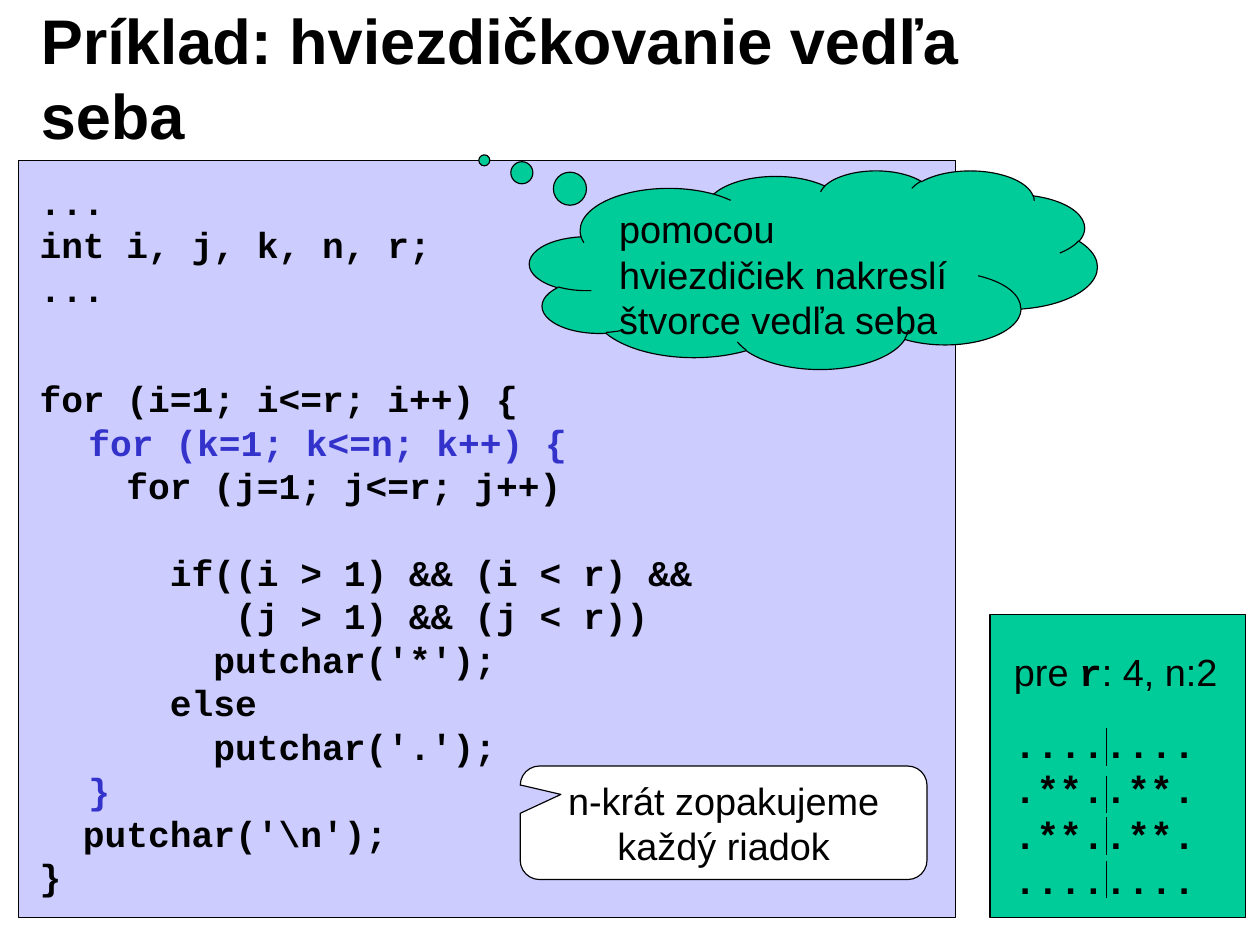
from dataclasses import dataclass

from lxml import etree
from pptx import Presentation
from pptx.dml.color import RGBColor
from pptx.enum.shapes import MSO_CONNECTOR, MSO_SHAPE
from pptx.enum.text import MSO_ANCHOR, MSO_AUTO_SIZE, PP_ALIGN
from pptx.oxml.ns import qn
from pptx.util import Pt

RECTANGLE = MSO_SHAPE.RECTANGLE
CLOUD = MSO_SHAPE.CLOUD_CALLOUT
BUBBLE = MSO_SHAPE.ROUNDED_RECTANGULAR_CALLOUT
STRAIGHT = MSO_CONNECTOR.STRAIGHT
TOP, MIDDLE = MSO_ANCHOR.TOP, MSO_ANCHOR.MIDDLE
LEFT, CENTER = PP_ALIGN.LEFT, PP_ALIGN.CENTER
NO_AUTOFIT = MSO_AUTO_SIZE.NONE
TITLE_ONLY = 5


@dataclass(frozen=True)
class Theme:
    sans: str = "Arial"
    mono: str = "Courier New"
    ink: str = "000000"
    accent: str = "3333CC"
    panel: str = "CCCCFF"
    green: str = "00CC99"
    white: str = "FFFFFF"
    title_size: float = 40
    code_size: float = 23
    note_size: float = 24
    outline: float = 0.75
    leading: float = 1.2


THEME = Theme()
CODE_LINE = THEME.code_size * THEME.leading

PROGRAM = [
    ("...", 0),
    ("int i, j, k, n, r;", 0),
    ("...", 0),
    ("for (i=1; i<=r; i++) {", CODE_LINE + 12 * THEME.leading),
    ("    for (j=1; j<=r; j++)", CODE_LINE),
    ("      if((i > 1) && (i < r) &&", CODE_LINE),
    ("         (j > 1) && (j < r))", 0),
    ("        putchar('*');", 0),
    ("      else", 0),
    ("        putchar('.');", 0),
    ("  putchar('\\n');", CODE_LINE),
    ("}", 0),
]
INNER_LOOP = [("for (k=1; k<=n; k++) {", 0), ("}", 7 * CODE_LINE)]
STARS = [("........", 14 * THEME.leading), (".**..**.", 0),
         (".**..**.", 0), ("........", 0)]
DIVIDER_X, DIVIDER_LENGTH = 702, 24
DIVIDER_TOPS = (462, 492, 518.4, 546)


def style(paragraph, face, size, color=THEME.ink, bold=False, before=0, align=LEFT):
    """Format a whole paragraph."""
    paragraph.alignment = align
    paragraph.line_spacing = Pt(size * THEME.leading)
    paragraph.space_before = Pt(before)
    font = paragraph.font
    font.name, font.size, font.bold = face, Pt(size), bold
    font.color.rgb = RGBColor.from_string(color)


def set_frame(frame, anchor=TOP):
    """Give a text frame wrapping, fixed size and an anchor."""
    frame.word_wrap = True
    frame.auto_size = NO_AUTOFIT
    frame.vertical_anchor = anchor


def add_title(slide, text):
    """Fill and place the title placeholder."""
    title = slide.shapes.title
    title.left, title.top, title.width, title.height = map(Pt, (18, 12, 642, 73.5))
    title.text_frame.text = text
    set_frame(title.text_frame, MIDDLE)
    title.text_frame.margin_left = title.text_frame.margin_right = Pt(7.9)
    style(title.text_frame.paragraphs[0], THEME.sans, THEME.title_size, bold=True)


def add_panel(slide, kind, box, fill, text="", align=LEFT, adjustments=()):
    """Draw an outlined preset shape, with a note where there is text."""
    panel = slide.shapes.add_shape(kind, *map(Pt, box))
    panel.shadow.inherit = False
    panel.fill.solid()
    panel.fill.fore_color.rgb = RGBColor.from_string(fill)
    panel.line.color.rgb = RGBColor.from_string(THEME.ink)
    panel.line.width = Pt(THEME.outline)
    for index, value in enumerate(adjustments):
        panel.adjustments[index] = value
    if text:
        panel.text_frame.text = text
        set_frame(panel.text_frame)
        style(panel.text_frame.paragraphs[0], THEME.sans, THEME.note_size, align=align)


def add_text_frame(slide, box):
    """Add an empty text box and return its frame."""
    frame = slide.shapes.add_textbox(*map(Pt, box)).text_frame
    set_frame(frame)
    return frame


def add_code(frame, lines, size, color=THEME.ink):
    """Append lines of code, each with its space before."""
    for text, before in lines:
        first = frame.paragraphs[0]
        paragraph = frame.add_paragraph() if first.runs else first
        paragraph.add_run().text = text
        style(paragraph, THEME.mono, size, color, True, before)


def add_sample(slide):
    """Write the sample output under its parameter line."""
    frame = add_text_frame(slide, (636, 408, 154, 168.5))
    heading = frame.paragraphs[0]
    for text in ("pre ", "r", ": 4, n:2"):
        heading.add_run().text = text
    style(heading, THEME.sans, THEME.note_size)
    variable = heading.runs[1].font
    variable.name, variable.bold = THEME.mono, True
    add_code(frame, STARS, THEME.note_size)


def add_divider(slide, top):
    """Draw one vertical stroke between the two squares."""
    x = Pt(DIVIDER_X)
    divider = slide.shapes.add_connector(STRAIGHT, x, Pt(top), x, Pt(top + DIVIDER_LENGTH))
    divider.line.color.rgb = RGBColor.from_string(THEME.ink)
    divider.line.width = Pt(THEME.outline)
    etree.SubElement(divider._element.spPr, qn("a:effectLst"))


def main():
    """Build the slide and save it."""
    deck = Presentation()
    deck.slide_width, deck.slide_height = Pt(799.2), Pt(597.6)
    slide = deck.slides.add_slide(deck.slide_layouts[TITLE_ONLY])

    add_title(slide, "Príklad: hviezdičkovanie vedľa seba")
    add_panel(slide, RECTANGLE, (12, 102, 594, 480), THEME.panel)
    add_code(add_text_frame(slide, (18, 110, 441, 463)), PROGRAM, THEME.code_size)
    add_panel(slide, CLOUD, (336, 108, 360, 126), THEME.green,
              "pomocou hviezdičiek nakreslí štvorce vedľa seba",
              adjustments=(-0.58, -0.55))
    add_panel(slide, RECTANGLE, (628, 390, 162, 192), THEME.green)
    add_sample(slide)
    add_panel(slide, BUBBLE, (330, 486, 258, 72), THEME.white,
              "n-krát zopakujeme každý riadok", CENTER, (-0.4, -0.25, 0.17))
    add_code(add_text_frame(slide, (49, 263, 332, 255.6)), INNER_LOOP,
             THEME.code_size, THEME.accent)
    for top in DIVIDER_TOPS:
        add_divider(slide, top)

    deck.save("out.pptx")


if __name__ == "__main__":
    main()
